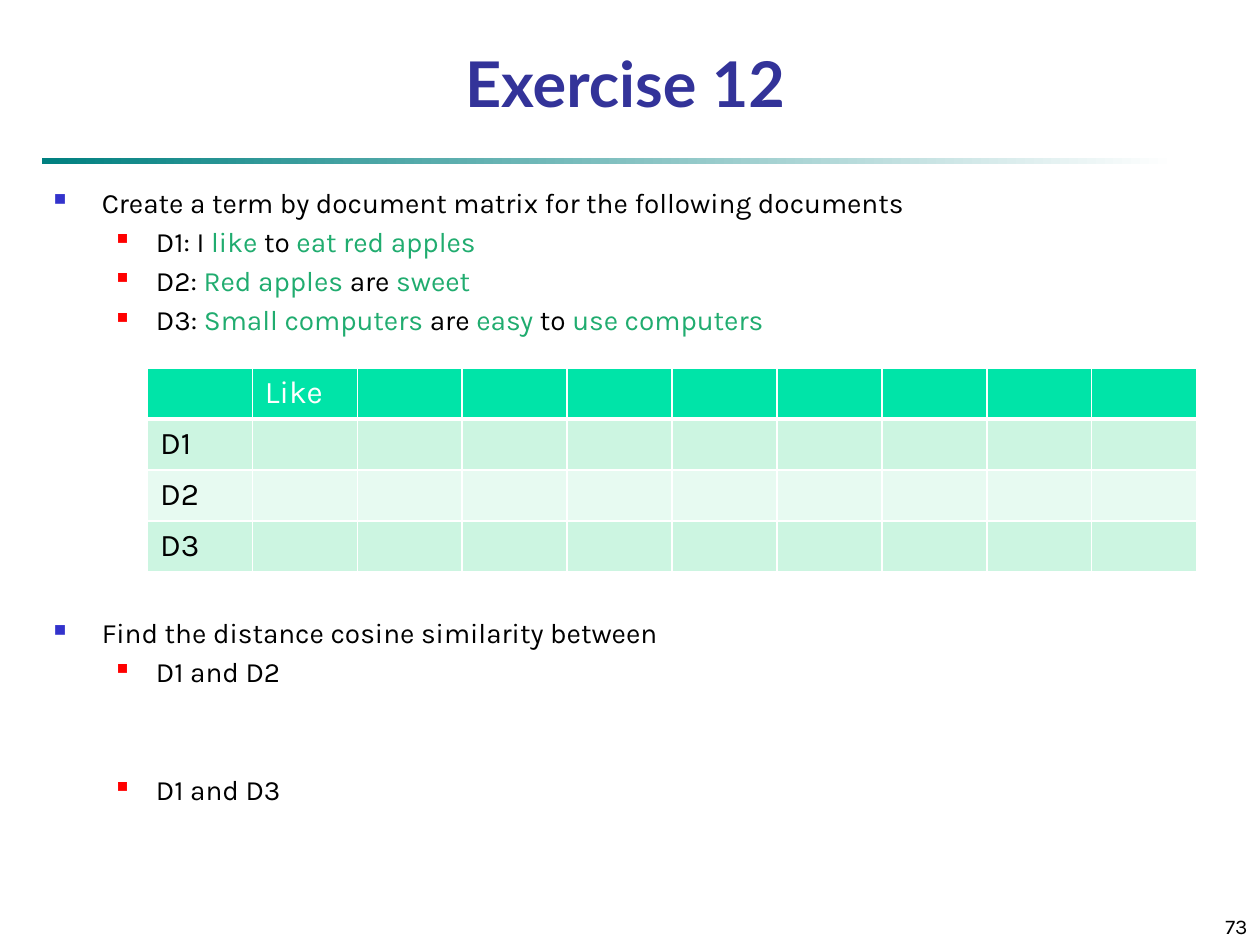
from lxml import etree
from pptx import Presentation
from pptx.dml.color import RGBColor
from pptx.enum.shapes import MSO_SHAPE as Shape
from pptx.enum.text import MSO_ANCHOR as Anchor, PP_ALIGN as Align
from pptx.oxml.ns import qn
from pptx.util import Inches, Pt

BLACK = RGBColor(0x00, 0x00, 0x00)
WHITE = RGBColor(0xFF, 0xFF, 0xFF)
TEAL = RGBColor(0x00, 0x80, 0x80)
TITLE_BLUE = RGBColor(0x33, 0x33, 0x99)
BULLET_BLUE = RGBColor(0x33, 0x33, 0xCC)
BULLET_RED = RGBColor(0xFF, 0x00, 0x00)
TERM_GREEN = RGBColor(0x20, 0xAC, 0x6F)
HEADER_GREEN = RGBColor(0x00, 0xE4, 0xA8)
BAND_DARK = RGBColor(0xCC, 0xF5, 0xE1)
BAND_LIGHT = RGBColor(0xE7, 0xFA, 0xF1)

HEADING_FONT, BODY_FONT = "Lato", "Karla"
LINE_GAP = 3.2    # points before an ordinary line
TABLE_GAP = 159.5  # room left for the matrix
ANSWER_GAP = 48   # room left for a written answer

# Level, space before, and runs; every second run is an index term
TASKS = [
    (0, 0, ["Create a term by document matrix for the following documents"]),
    (1, LINE_GAP, ["D1: I ", "like", " to ", "eat red apples"]),
    (1, LINE_GAP, ["D2: ", "Red apples ", "are ", "sweet"]),
    (1, LINE_GAP, ["D3: ", "Small computers ", "are ", "easy", " to ", "use computers"]),
    (0, TABLE_GAP, ["Find the distance cosine similarity between"]),
    (1, LINE_GAP, ["D1 and D2"]),
    (1, ANSWER_GAP, ["D1 and D3"]),
]
# Left margin, hanging indent, bullet colour and bullet size in percent
LEVELS = [(0.38, 0.38, BULLET_BLUE, 60), (0.81, 0.31, BULLET_RED, 55)]


def add_text(paragraph, text, size=16, font=BODY_FONT, color=BLACK, bold=False, align=None):
    run = paragraph.add_run()
    run.text = text
    run.font.size = Pt(size)
    run.font.name = font
    run.font.color.rgb = color
    run.font.bold = bold
    if align is not None:
        paragraph.alignment = align


def add_frame(slide, box, anchor=Anchor.TOP):
    frame = slide.shapes.add_textbox(*box).text_frame
    frame.word_wrap = True
    frame.vertical_anchor = anchor
    return frame


def set_bullet(paragraph, level):
    margin, hang, color, percent = LEVELS[level]
    props = paragraph._p.get_or_add_pPr()
    props.set("marL", str(Inches(margin)))
    props.set("indent", str(-Inches(hang)))
    bullet_color = etree.SubElement(props, qn("a:buClr"))
    etree.SubElement(bullet_color, qn("a:srgbClr"), val=str(color))
    etree.SubElement(props, qn("a:buSzPct"), val=str(percent * 1000))
    etree.SubElement(props, qn("a:buFont"), typeface="Wingdings")
    etree.SubElement(props, qn("a:buChar"), char="n")  # filled square


def set_borders(cell, top=1, bottom=1):
    props = cell._tc.get_or_add_tcPr()
    widths = {"a:lnL": 1, "a:lnR": 1, "a:lnT": top, "a:lnB": bottom}
    for place, (tag, width) in enumerate(widths.items()):
        line = etree.Element(qn(tag), w=str(Pt(width)))
        fill = etree.SubElement(line, qn("a:solidFill"))
        etree.SubElement(fill, qn("a:srgbClr"), val=str(WHITE))
        props.insert(place, line)


def add_heading(slide, title_box, rule_box):
    # Rule fading out to the right
    rule = slide.shapes.add_shape(Shape.RECTANGLE, *rule_box)
    rule.shadow.inherit = False
    rule.line.fill.background()
    rule.fill.gradient()
    rule.fill.gradient_angle = 0
    for stop, color, position in zip(rule.fill.gradient_stops, (TEAL, WHITE), (0, 1)):
        stop.color.rgb = color
        stop.position = position
    # Title
    frame = add_frame(slide, title_box, Anchor.BOTTOM)
    add_text(frame.paragraphs[0], "Exercise 12", size=36, font=HEADING_FONT,
             color=TITLE_BLUE, bold=True, align=Align.CENTER)


def add_tasks(slide, box):
    frame = add_frame(slide, box)
    for index, (level, gap, parts) in enumerate(TASKS):
        paragraph = frame.add_paragraph() if index else frame.paragraphs[0]
        paragraph.level = level
        paragraph.space_before = Pt(gap)
        set_bullet(paragraph, level)
        for place, part in enumerate(parts):
            add_text(paragraph, part, color=TERM_GREEN if place % 2 else BLACK)


def add_matrix(slide, box):
    labels = {(0, 1): "Like", (1, 0): "D1", (2, 0): "D2", (3, 0): "D3"}
    fills = [HEADER_GREEN, BAND_DARK, BAND_LIGHT, BAND_DARK]
    matrix = slide.shapes.add_table(len(fills), 10, *box).table
    for row, fill in enumerate(fills):
        for column in range(10):
            cell = matrix.cell(row, column)
            cell.fill.solid()
            cell.fill.fore_color.rgb = fill
            set_borders(cell, top=3 if row == 1 else 1, bottom=3 if row == 0 else 1)
            if (row, column) in labels:
                add_text(cell.text_frame.paragraphs[0], labels[row, column],
                         size=18, color=BLACK if row else WHITE)


def add_page_number(slide, box):
    frame = add_frame(slide, box, Anchor.BOTTOM)
    add_text(frame.paragraphs[0], "73", size=12, align=Align.RIGHT)


def inches(*lengths):
    return [Inches(length) for length in lengths]


def main():
    deck = Presentation()
    deck.slide_width, deck.slide_height = inches(10, 7.5)
    slide = deck.slides.add_slide(deck.slide_layouts[6])
    add_heading(slide, inches(0.17, 0.33, 9.58, 0.67), inches(0.33, 1.25, 9, 0.05))
    add_tasks(slide, inches(0.33, 1.42, 9.17, 5.67))
    add_page_number(slide, inches(7.92, 7.08, 2.08, 0.42))
    add_matrix(slide, inches(1.17, 2.92, 8.33, 1.62))
    deck.save("out.pptx")


if __name__ == "__main__":
    main()
